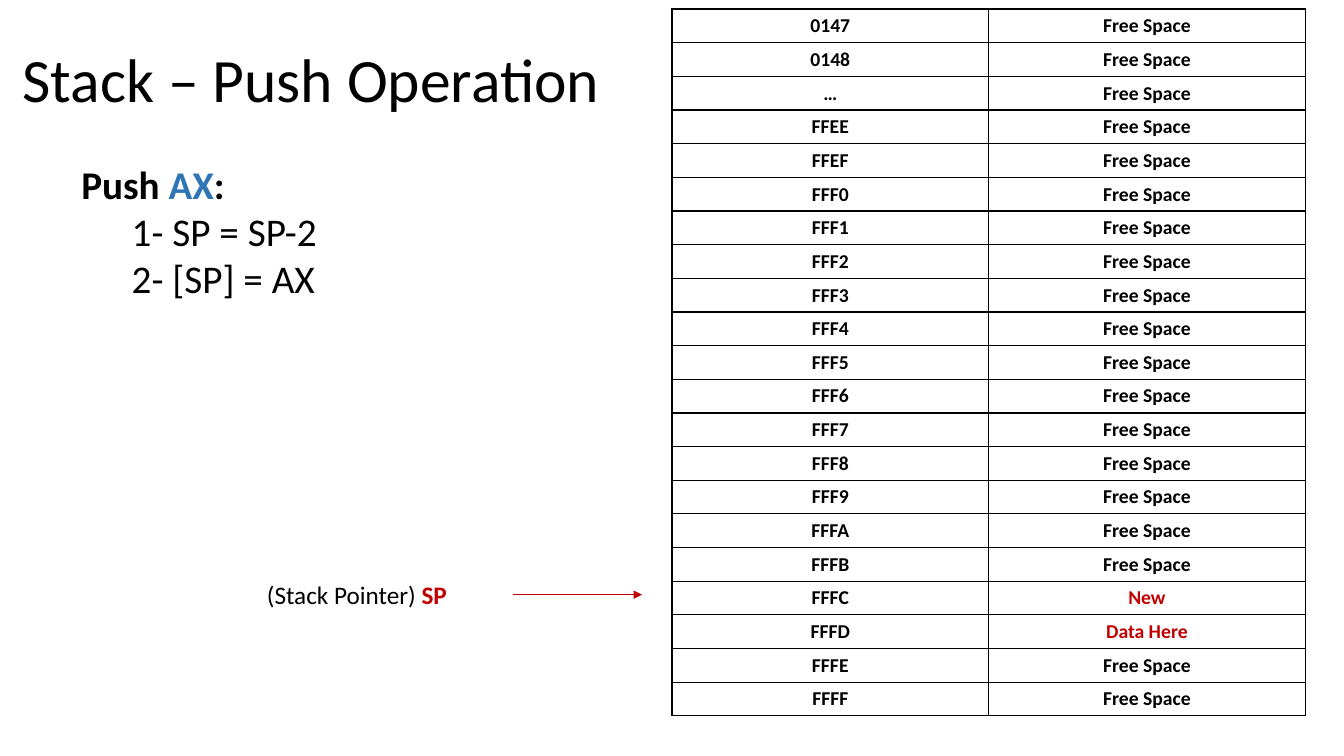
from lxml import etree
from pptx import Presentation
from pptx.dml.color import RGBColor
from pptx.enum import shapes, text
from pptx.oxml import ns
from pptx.util import Pt

COLORS = {"ink": "000000", "paper": "FFFFFF", "accent": "C00000", "register": "2E75B6"}
FONT = "Calibri"


def rgb(name):
    return RGBColor.from_string(COLORS[name])


class SlideBuilder:
    """Holds the shared style and the slide being filled."""

    def __init__(self, page):
        self.page = page

    def style(self, span, size, color="ink", bold=False):
        span.font.name = FONT
        span.font.size = Pt(size)
        span.font.bold = bold
        span.font.color.rgb = rgb(color)

    def text_box(self, left, top, width, height, lines, size, wrap=False,
                 grow=True, align=None, spacing=None, anchor=text.MSO_ANCHOR.TOP):
        """Each line is a list of (words, color, bold) spans."""
        box = self.page.shapes.add_textbox(Pt(left), Pt(top), Pt(width), Pt(height))
        frame = box.text_frame
        frame.word_wrap = wrap
        frame.vertical_anchor = anchor
        if grow:
            frame.auto_size = text.MSO_AUTO_SIZE.SHAPE_TO_FIT_TEXT
        for index, line in enumerate(lines):
            para = frame.paragraphs[0] if index == 0 else frame.add_paragraph()
            para.alignment = align
            para.line_spacing = spacing
            for words, color, bold in line:
                span = para.add_run()
                span.text = words
                self.style(span, size, color, bold)

    def cell_borders(self, cell, width):
        properties = cell._tc.get_or_add_tcPr()
        for side in ("lnL", "lnR", "lnT", "lnB"):
            line = etree.SubElement(properties, ns.qn(f"a:{side}"), w=str(Pt(width)))
            fill = etree.SubElement(line, ns.qn("a:solidFill"))
            etree.SubElement(fill, ns.qn("a:srgbClr"), val=COLORS["ink"])

    def table(self, left, top, column_width, row_height, rows, size):
        """Each row is a list of (words, color) cells."""
        columns = len(rows[0])
        table = self.page.shapes.add_table(
            len(rows), columns, Pt(left), Pt(top),
            Pt(column_width * columns), Pt(row_height * len(rows))).table
        table.first_row = False
        table.horz_banding = False
        for row_index, row in enumerate(rows):
            table.rows[row_index].height = Pt(row_height)
            for column_index, (words, color) in enumerate(row):
                cell = table.cell(row_index, column_index)
                self.cell_borders(cell, 1)
                cell.fill.solid()
                cell.fill.fore_color.rgb = rgb("paper")
                cell.text_frame.text = words
                para = cell.text_frame.paragraphs[0]
                para.alignment = text.PP_ALIGN.CENTER
                self.style(para.runs[0], size, color, bold=True)

    def arrow(self, start_x, start_y, end_x, end_y, color, width):
        arrow = self.page.shapes.add_connector(
            shapes.MSO_CONNECTOR.STRAIGHT, Pt(start_x), Pt(start_y), Pt(end_x), Pt(end_y))
        arrow.line.color.rgb = rgb(color)
        arrow.line.width = Pt(width)
        etree.SubElement(arrow.line._get_or_add_ln(), ns.qn("a:tailEnd"), type="triangle")
        etree.SubElement(arrow._element.spPr, ns.qn("a:effectLst"))


def memory_rows():
    addresses = ["0147", "0148", "…"] + [f"{n:04X}" for n in range(0xFFEE, 0x10000)]
    pushed = {"FFFC": "New", "FFFD": "Data Here"}
    return [[(address, "ink"),
             (pushed.get(address, "Free Space"), "accent" if address in pushed else "ink")]
            for address in addresses]


def main():
    deck = Presentation()
    deck.slide_width, deck.slide_height = Pt(960), Pt(540)
    slide = SlideBuilder(deck.slides.add_slide(deck.slide_layouts[6]))

    slide.text_box(9, 6.5, 828, 104.4, [[("Stack – Push Operation", "ink", False)]], 44,
                   wrap=True, grow=False, spacing=0.9, anchor=text.MSO_ANCHOR.MIDDLE)
    slide.table(480, 6.5, 226.2, 24, memory_rows(), 14)
    slide.text_box(183.6, 410.4, 144, 29,
                   [[("(Stack Pointer) ", "ink", False), ("SP", "accent", True)]], 18)
    slide.arrow(366.5, 424.8, 458.6, 424.8, "accent", 0.5)
    slide.text_box(51, 111, 222.5, 108.7, [
        [("Push ", "ink", True), ("AX", "register", True), (":", "ink", True)],
        [("\t1- SP = SP-2", "ink", False)],
        [("\t2- [SP] = AX", "ink", False)],
    ], 28, align=text.PP_ALIGN.JUSTIFY)

    deck.save("out.pptx")


if __name__ == "__main__":
    main()
